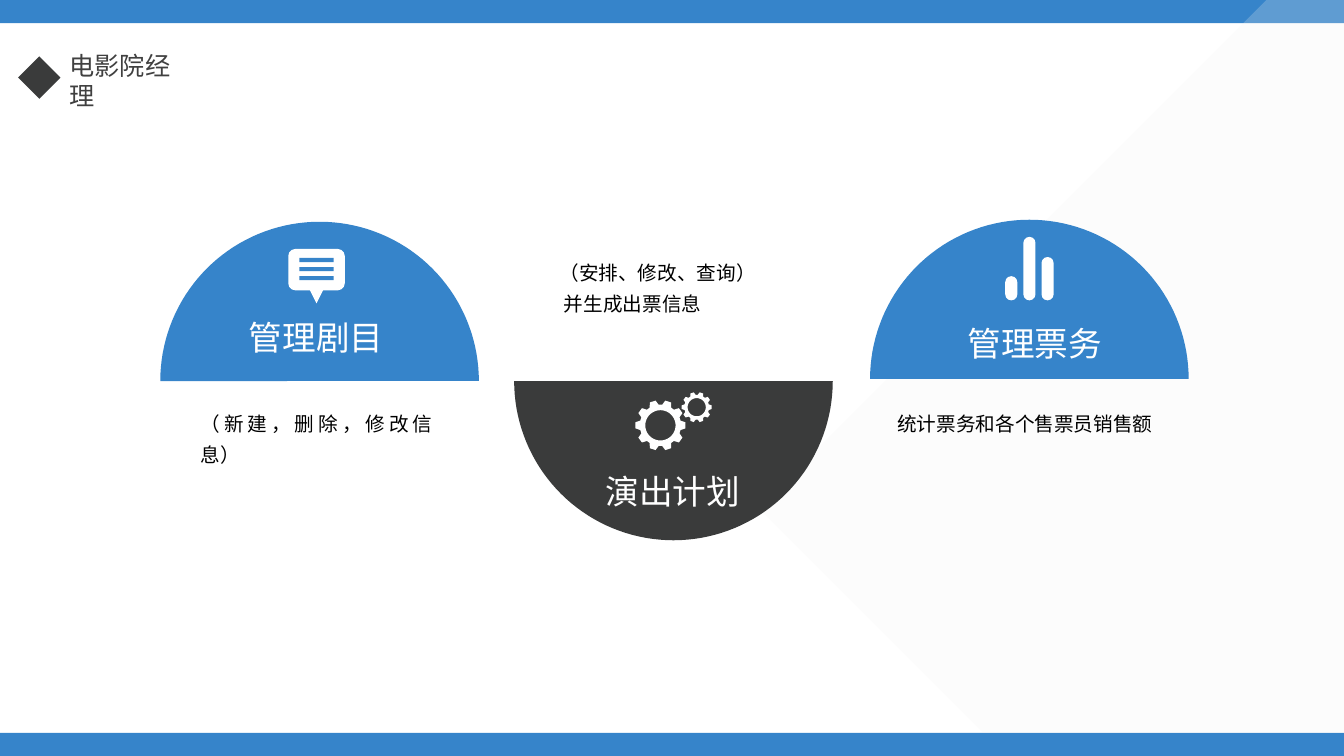
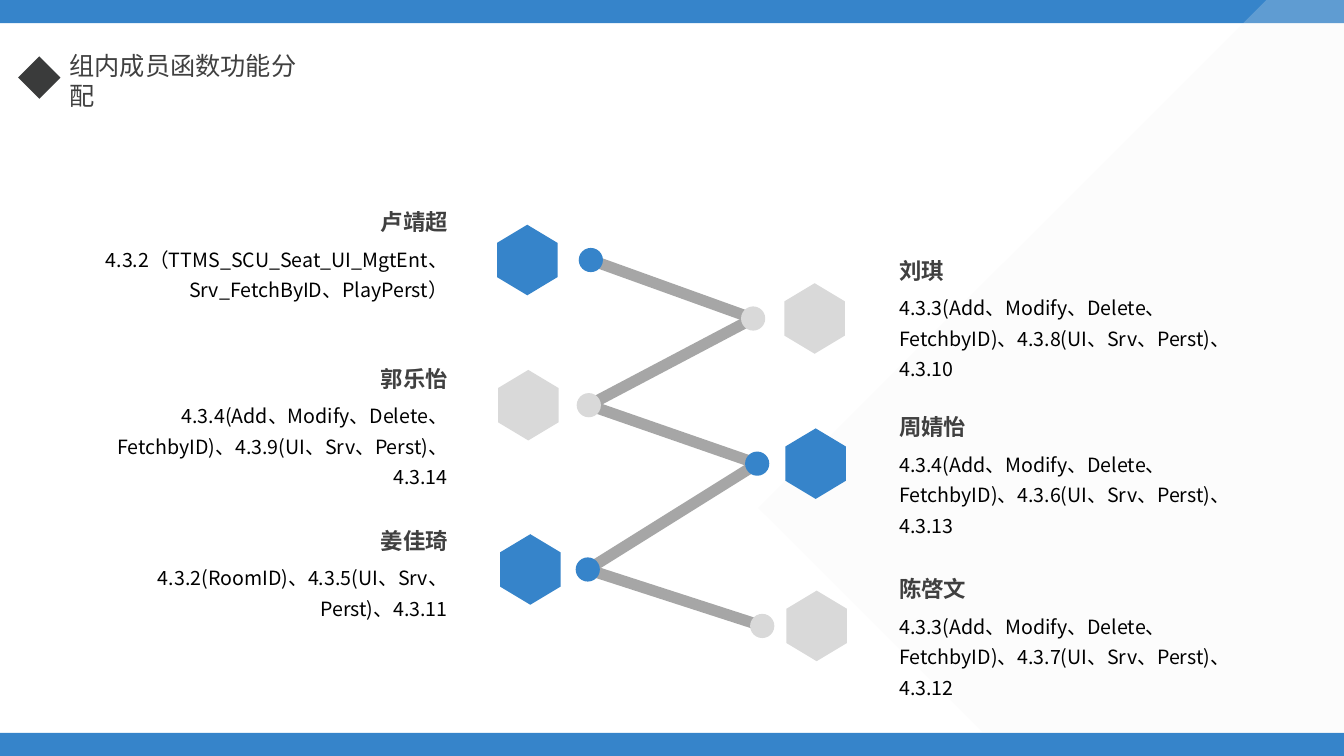
from math import cos, pi, sin

from lxml import etree
from pptx import Presentation
from pptx.dml.color import RGBColor
from pptx.enum.shapes import MSO_CONNECTOR, MSO_SHAPE
from pptx.enum.text import PP_ALIGN
from pptx.oxml.ns import qn
from pptx.util import Inches, Pt

RECT, ROUNDED = MSO_SHAPE.RECTANGLE, MSO_SHAPE.ROUNDED_RECTANGLE
OVAL, DIAMOND = MSO_SHAPE.OVAL, MSO_SHAPE.DIAMOND
STRAIGHT = MSO_CONNECTOR.STRAIGHT
LEFT, RIGHT, JUSTIFY = PP_ALIGN.LEFT, PP_ALIGN.RIGHT, PP_ALIGN.JUSTIFY

FONT = "Noto Sans CJK SC"
COLORS = {
    "blue": "3684CA", "dark": "3A3B3B", "heading": "404040", "body": "000000",
    "white": "FFFFFF", "grey": "D9D9D9", "line": "A6A6A6", "facet": "F2F2F2",
}
SLIDE_W, SLIDE_H, BAND_H = 13.33, 7.5, 0.23
DOME_R = 1.58
DOT_SIZE = 0.24


def rgb(color):
    return RGBColor.from_string(COLORS[color])


def paint(shape, color):
    shape.shadow.inherit = False
    shape.fill.solid()
    shape.fill.fore_color.rgb = rgb(color)
    shape.line.fill.background()
    return shape


def add_preset(slide, kind, x, y, w, h, color):
    box = [Inches(v) for v in (x, y, w, h)]
    return paint(slide.shapes.add_shape(kind, *box), color)


def add_outline(slide, color, *contours):
    """Closed polygons in one shape; later contours cut holes."""
    contours = [[(Inches(x), Inches(y)) for x, y in c] for c in contours]
    builder = slide.shapes.build_freeform(*contours[0][0])
    builder.add_line_segments(contours[0][1:])
    for contour in contours[1:]:
        builder.move_to(*contour[0])
        builder.add_line_segments(contour[1:])
    return paint(builder.convert_to_shape(), color)


def add_text(slide, text, x, y, w, h, size=14, color="body", bold=False,
             align=LEFT, spacing=None, wrap=True):
    frame = slide.shapes.add_textbox(*[Inches(v) for v in (x, y, w, h)]).text_frame
    frame.word_wrap = wrap
    for i, line in enumerate(text.split("\n")):
        paragraph = frame.add_paragraph() if i else frame.paragraphs[0]
        paragraph.alignment = align
        paragraph.line_spacing = spacing
        run = paragraph.add_run()
        run.text = line
        run.font.size, run.font.bold = Pt(size), bold
        run.font.color.rgb = rgb(color)
        run.font.name = FONT
        etree.SubElement(run.font._element, qn("a:ea"), typeface=FONT)


def add_link(slide, start, end):
    ends = [Inches(v) for v in (*start, *end)]
    link = slide.shapes.add_connector(STRAIGHT, *ends)
    link.line.color.rgb = rgb("line")
    link.line.width = Pt(8)
    etree.SubElement(link._element.spPr, qn("a:effectLst"))


def arc(cx, cy, r, start, end, steps=72):
    """Points on a circle between two angles."""
    angles = [start + (end - start) * i / steps for i in range(steps + 1)]
    return [(cx + r * cos(a), cy + r * sin(a)) for a in angles]


# Shared frame and title
def new_slide(prs, title, title_w):
    slide = prs.slides.add_slide(prs.slide_layouts[6])
    for y in (0, SLIDE_H - BAND_H):
        add_preset(slide, RECT, 0, y, SLIDE_W, BAND_H, "blue")
    add_text(slide, title, 0.59, 0.45, title_w, 0.41, size=18, color="heading")
    add_preset(slide, DIAMOND, 0.18, 0.56, 0.42, 0.42, "dark")
    floor = SLIDE_H - BAND_H
    facet = add_outline(slide, "facet", [
        (12.56, 0), (SLIDE_W, 0), (SLIDE_W, floor), (9.75, floor), (7.52, 5.04)])
    tint = facet._element.spPr.find(qn("a:solidFill"))[0]
    etree.SubElement(tint, qn("a:alpha"), val="22000")
    return slide


# Icons
def add_gear(slide, cx, cy, r, teeth=10):
    rim = []
    for tooth in range(teeth):
        middle = 2 * pi * tooth / teeth
        for offset, radius in ((-0.23, 0.82), (-0.12, 1), (0.12, 1), (0.23, 0.82)):
            angle = middle + offset
            rim.append((cx + r * radius * cos(angle), cy + r * radius * sin(angle)))
    add_outline(slide, "white", rim, arc(cx, cy, 0.6 * r, 2 * pi, 0))


def add_gears_icon(slide):
    add_gear(slide, 6.55, 4.22, 0.25)
    add_gear(slide, 6.91, 4.04, 0.15)


def add_message_icon(slide):
    add_outline(slide, "white", [(3.06, 2.85), (3.22, 2.85), (3.14, 3.01)])
    add_preset(slide, ROUNDED, 2.86, 2.47, 0.56, 0.41, "white")
    for row in range(3):
        add_preset(slide, RECT, 2.97, 2.56 + 0.09 * row, 0.34, 0.04, "blue")


def add_bars_icon(slide):
    for i, height in enumerate((0.24, 0.63, 0.43)):
        bar = add_preset(slide, ROUNDED, 9.97 + 0.18 * i, 2.98 - height,
                         0.12, height, "white")
        bar.adjustments[0] = 0.5


# Slide 1: duties of the manager
def build_manager(prs):
    slide = new_slide(prs, "电影院经理", 1.4)
    # centre x, flat edge y, colour, arc end angle, label and its place
    domes = [
        (3.17, 3.78, "blue", 2 * pi, "管理剧目", 2.37, 3.09),
        (6.68, 3.78, "dark", 0, "演出计划", 5.91, 4.62),
        (10.21, 3.76, "blue", 2 * pi, "管理票务", 9.5, 3.15),
    ]
    for cx, edge, color, end, label, x, y in domes:
        add_outline(slide, color, arc(cx, edge, DOME_R, pi, end))
        add_text(slide, label, x, y, 1.53, 0.5, size=24, color="white", wrap=False)
    add_message_icon(slide)
    add_gears_icon(slide)
    add_bars_icon(slide)
    details = [
        ("（新建，删除，修改信息）", 1.89, 3.97, 2.5, 1.4),
        ("（安排、修改、查询）\n 并生成出票信息", 5.45, 2.47, 2.42, 1.27),
        ("统计票务和各个售票员销售额", 8.8, 3.97, 2.92, 1.19),
    ]
    for detail in details:
        add_text(slide, *detail, align=JUSTIFY, spacing=1.3)


# Slide 2: functions of each member
def add_hexagon(slide, cx, cy, color):
    half_w, half_h, shoulder = 0.3, 0.35, 0.17
    add_outline(slide, color, [
        (cx, cy - half_h), (cx + half_w, cy - shoulder), (cx + half_w, cy + shoulder),
        (cx, cy + half_h), (cx - half_w, cy + shoulder), (cx - half_w, cy - shoulder)])


def build_members(prs):
    slide = new_slide(prs, "组内成员函数功能分配", 2.65)
    # name, functions, colour, hexagon x, dot x, shared centre y, name top
    members = [
        ("卢靖超", "4.3.2（TTMS_SCU_Seat_UI_MgtEnt、Srv_FetchByID、PlayPerst）",
         "blue", 5.23, 5.86, 2.58, 2.02),
        ("刘琪", "4.3.3(Add、Modify、Delete、FetchbyID)、4.3.8(UI、Srv、Perst)、4.3.10",
         "grey", 8.08, 7.47, 3.16, 2.5),
        ("郭乐怡", "4.3.4(Add、Modify、Delete、FetchbyID)、4.3.9(UI、Srv、Perst)、4.3.14",
         "grey", 5.24, 5.84, 4.02, 3.57),
        ("周婧怡", "4.3.4(Add、Modify、Delete、FetchbyID)、4.3.6(UI、Srv、Perst)、4.3.13",
         "blue", 8.09, 7.51, 4.6, 4.05),
        ("姜佳琦", "4.3.2(RoomID)、4.3.5(UI、Srv、Perst)、4.3.11",
         "blue", 5.26, 5.83, 5.65, 5.18),
        ("陈啓文", "4.3.3(Add、Modify、Delete、FetchbyID)、4.3.7(UI、Srv、Perst)、4.3.12",
         "grey", 8.1, 7.56, 6.21, 5.66),
    ]
    # Zigzag through the dots
    dots = [(dot_x, y) for _, _, _, _, dot_x, y, _ in members]
    for start, end in zip(dots, dots[1:]):
        add_link(slide, start, end)

    for i, (name, functions, color, hex_x, dot_x, y, top) in enumerate(members):
        add_hexagon(slide, hex_x, y, color)
        add_preset(slide, OVAL, dot_x - DOT_SIZE / 2, y - DOT_SIZE / 2,
                   DOT_SIZE, DOT_SIZE, color)
        on_left = i % 2 == 0
        align = RIGHT if on_left else LEFT
        add_text(slide, name, 2.27 if on_left else 8.82, top, 2.27, 0.37,
                 size=16, color="heading", bold=True, align=align)
        add_text(slide, functions, 0.94 if on_left else 8.82, top + 0.32, 3.6, 0.97,
                 align=align, spacing=1.3)


def main():
    prs = Presentation()
    prs.slide_width, prs.slide_height = Inches(SLIDE_W), Inches(SLIDE_H)
    build_manager(prs)
    build_members(prs)
    prs.save("out.pptx")


if __name__ == "__main__":
    main()
